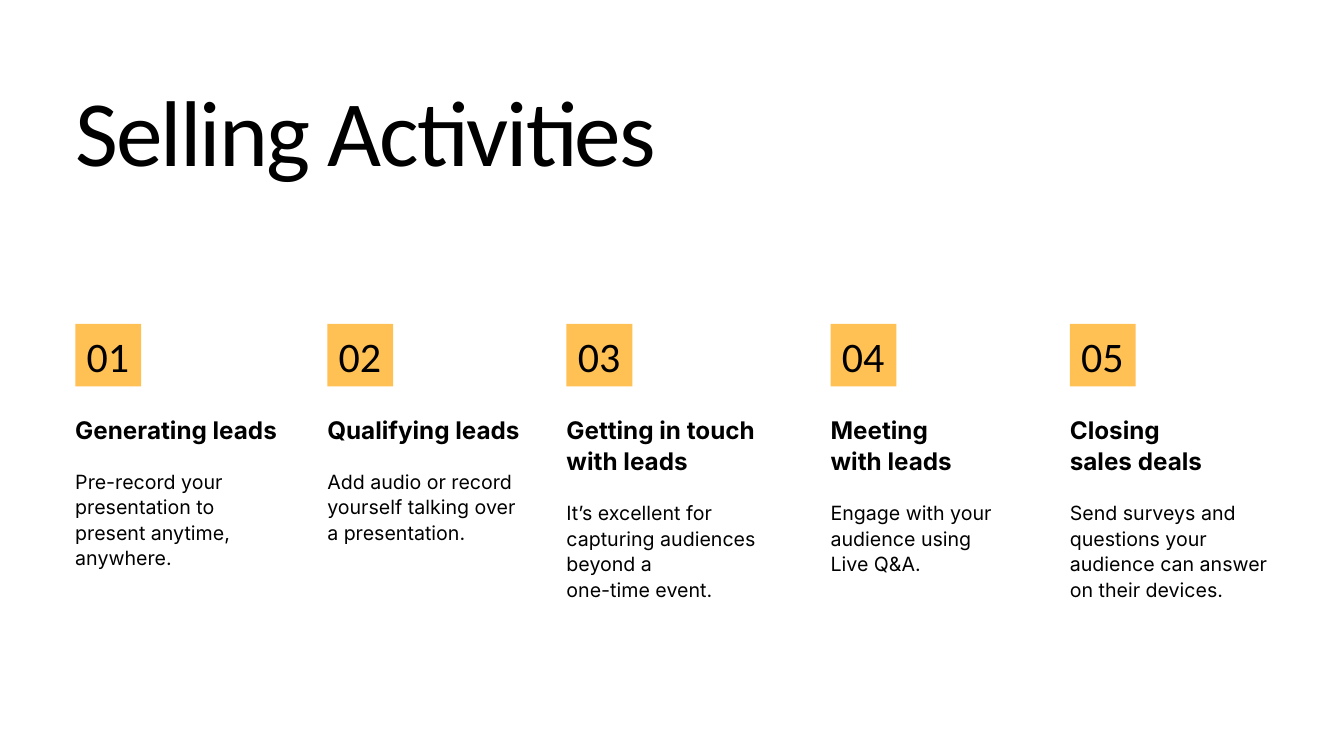
"""Build the Selling Activities slide: five numbered steps in a row."""
from pptx import Presentation
from pptx.dml.color import RGBColor
from pptx.enum.shapes import MSO_SHAPE
from pptx.enum.text import MSO_AUTO_SIZE, PP_ALIGN
from pptx.util import Inches, Pt

TITLE = "Selling Activities"
STEPS = [
    (3.14, 1, ["Generating leads"],
     ["Pre-record your presentation to present anytime, anywhere."], 4),
    (2.95, 1, ["Qualifying leads"],
     ["Add audio or record yourself talking over a presentation."], 3),
    (3.32, 2, ["Getting in touch with leads"],
     ["It’s excellent for capturing audiences beyond a", "one-time event."], 4),
    (2.95, 2, ["Meeting", "with leads"],
     ["Engage with your audience using", "Live Q&A."], 3),
    (2.95, 2, ["Closing", "sales deals"],
     ["Send surveys and questions your audience can answer on their devices."], 4),
]
LEFT, GAP = 1.12, 0.61
BLACK, AMBER = "000000", "FFC054"


def color(hex_code):
    return RGBColor.from_string(hex_code)


def add_text(shapes, box, lines, size, font, lead, bold=False, align=PP_ALIGN.LEFT):
    frame = shapes.add_textbox(*map(Inches, box)).text_frame
    frame.margin_left = frame.margin_right = 0
    frame.margin_top = frame.margin_bottom = 0
    frame.word_wrap = True
    frame.auto_size = MSO_AUTO_SIZE.SHAPE_TO_FIT_TEXT
    frame.text = "\n".join(lines)
    for para in frame.paragraphs:
        para.alignment = align
        para.line_spacing = Pt(lead)
        para.font.size = Pt(size)
        para.font.name = font
        para.font.bold = bold
        para.font.color.rgb = color(BLACK)
    return frame


def add_badge(slide, left, label):
    shapes = slide.shapes.add_group_shape().shapes
    tile = shapes.add_shape(MSO_SHAPE.RECTANGLE,
                            *map(Inches, (left, 4.82, 0.98, 0.93)))
    tile.shadow.inherit = False
    tile.fill.solid()
    tile.fill.fore_color.rgb = color(AMBER)
    tile.line.fill.background()
    add_text(shapes, (left + 0.08, 4.92, 0.81, 0.74), [label], 45, "Calibri", 54,
             align=PP_ALIGN.CENTER)


def main():
    deck = Presentation()
    deck.slide_width, deck.slide_height = Inches(20), Inches(11.25)
    slide = deck.slides.add_slide(deck.slide_layouts[6])
    shapes = slide.shapes

    title = add_text(shapes, (LEFT, 1.23, 17.75, 1.56), [TITLE], 100, "Calibri", 110)
    title.paragraphs[0].runs[0].font._element.set("spc", "-200")

    left = LEFT
    for num, (width, rows, head, body, depth) in enumerate(STEPS, 1):
        add_badge(slide, left, f"{num:02}")
        add_text(shapes, (left, 6.14, width, 0.47 * rows - 0.02), head,
                 26, "Inter", 33.8, bold=True)
        add_text(shapes, (left, 6.49 + 0.47 * rows, width, 0.38 * depth - 0.01), body,
                 21, "Inter", 27.3)
        left += width + GAP

    deck.save("out.pptx")


if __name__ == "__main__":
    main()
